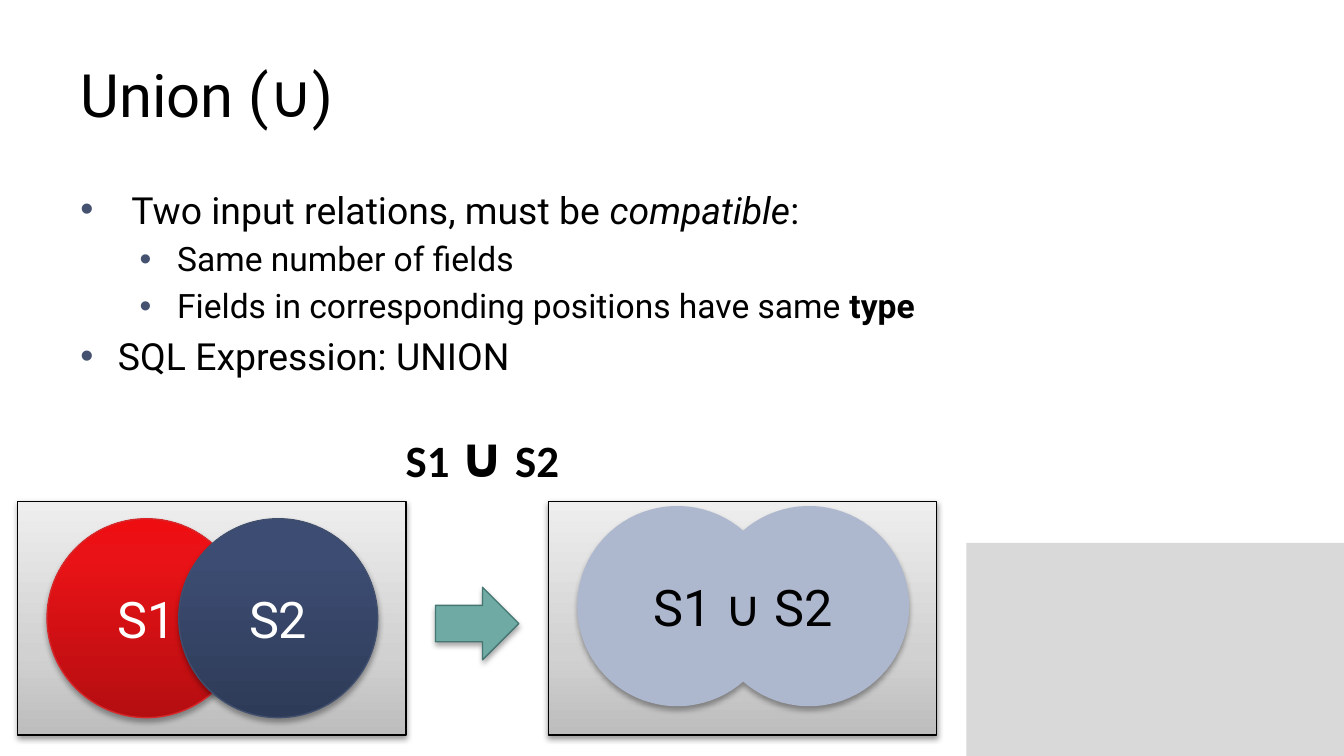
from dataclasses import dataclass
from math import acos, cos, pi, sin
from typing import Optional

from lxml.etree import SubElement
from pptx import Presentation
from pptx.dml.color import RGBColor
from pptx.enum.shapes import MSO_SHAPE
from pptx.enum.text import MSO_ANCHOR, PP_ALIGN
from pptx.oxml.ns import qn
from pptx.util import Inches, Pt

COLS, ROWS = 100, 56.25  # square grid cells, a tenth of an inch each
DARK, WHITE, MIST = "000000", "FFFFFF", "ADB7CD"
GREY = ((0, "BDBDBD"), (35, "D1D1D1"), (100, "EEEEEE"))
RED = ((0, "B40E11"), (80, "E91216"), (100, "EE0E12"))
NAVY = ((0, "2E3B58"), (80, "3C4C72"), (100, "3B4C73"))
FRAME_TOP, FRAME_W, FRAME_H = 37.3, 28.9, 17.4
DISC, SHIFT = 14.8, 9.8


@dataclass
class Run:
    text: str
    size: float
    bold: bool = False
    slant: bool = False
    font: str = "Roboto"
    color: str = DARK


@dataclass
class Bullet:
    runs: list[Run]
    level: int
    left: float
    hang: float


@dataclass
class Figure:
    kind: MSO_SHAPE
    box: tuple
    fill: object
    line: Optional[str] = None
    label: str = ""
    shade: tuple = ()


def cell(count: float) -> int:
    return Inches(count / 10)


def paint(color: str) -> RGBColor:
    return RGBColor.from_string(color)


def write(para, runs: list[Run], align=PP_ALIGN.LEFT, before: float = 0) -> None:
    para.alignment = align
    para.space_before = Pt(before)
    for item in runs:
        run = para.add_run()
        run.text = item.text
        font = run.font
        font.size, font.name = Pt(item.size), item.font
        font.bold, font.italic = item.bold, item.slant
        font.color.rgb = paint(item.color)


def add_text(slide, box: tuple, wrap: bool = True, anchor=MSO_ANCHOR.TOP):
    frame = slide.shapes.add_textbox(*map(cell, box)).text_frame
    frame.word_wrap, frame.vertical_anchor = wrap, anchor
    return frame


def add_bullet(para, left: float, hang: float) -> None:
    props = para._p.get_or_add_pPr()
    props.set("marL", str(cell(left)))
    props.set("indent", str(-cell(hang)))
    color = SubElement(props, qn("a:buClr"))
    SubElement(color, qn("a:srgbClr"), val="44516F")
    SubElement(props, qn("a:buFont"), typeface="Arial")
    SubElement(props, qn("a:buChar"), char="•")


def blend(shape, stops: tuple) -> None:
    """Fill with a gradient that runs from bottom to top."""
    shape.fill.gradient()
    grad = shape._element.spPr.find(qn("a:gradFill"))
    for child in list(grad):
        grad.remove(child)
    group = SubElement(grad, qn("a:gsLst"))
    for share, color in stops:
        stop = SubElement(group, qn("a:gs"), pos=str(share * 1000))
        SubElement(stop, qn("a:srgbClr"), val=color)
    SubElement(grad, qn("a:lin"), ang=str(270 * 60000), scaled="0")


def style(shape, fill, line: Optional[str], shade: tuple) -> None:
    """Set fill and line; shade holds the shadow's opacity and distance."""
    if isinstance(fill, str):
        shape.fill.solid()
        shape.fill.fore_color.rgb = paint(fill)
    else:
        blend(shape, fill)
    if line:
        shape.line.color.rgb = paint(line)
        shape.line.width = Pt(0.75)
    else:
        shape.line.fill.background()
    shape.shadow.inherit = False
    if shade:
        alpha, dist = shade
        effects = shape._element.spPr.find(qn("a:effectLst"))
        outer = SubElement(effects, qn("a:outerShdw"), blurRad=str(Pt(3.1)),
                           dist=str(Pt(dist)), dir=str(90 * 60000), rotWithShape="0")
        color = SubElement(outer, qn("a:srgbClr"), val=DARK)
        SubElement(color, qn("a:alpha"), val=str(alpha * 1000))


def add_label(shape, text: str, color: str) -> None:
    frame = shape.text_frame
    frame.vertical_anchor = MSO_ANCHOR.MIDDLE
    frame.margin_left = frame.margin_right = cell(0.7)
    frame.margin_top = frame.margin_bottom = cell(0.4)
    write(frame.paragraphs[0], [Run(text, 27, color=color)], PP_ALIGN.CENTER)


def add_figure(slide, item: Figure) -> None:
    shape = slide.shapes.add_shape(item.kind, *map(cell, item.box))
    style(shape, item.fill, item.line, item.shade)
    if item.label:
        add_label(shape, item.label, WHITE)


def add_union(slide, left: float, top: float, steps: int = 60) -> None:
    """Draw the outline of two overlapping discs as one shape."""
    rad = DISC / 2
    notch = acos(SHIFT / 2 / rad)
    sweep = 2 * (pi - notch)
    points = []
    for mid, start in ((left + rad, notch), (left + rad + SHIFT, notch + pi)):
        for step in range(steps + 1):
            turn = start + sweep * step / steps
            points.append((cell(mid + rad * cos(turn)),
                           cell(top + rad + rad * sin(turn))))
    path = slide.shapes.build_freeform(*points[0])
    path.add_line_segments(points[1:], close=True)
    shape = path.convert_to_shape()
    style(shape, MIST, MIST, (35, 1.8))
    add_label(shape, "S1 ∪ S2", DARK)


def main() -> None:
    deck = Presentation()
    deck.slide_width, deck.slide_height = cell(COLS), cell(ROWS)
    slide = deck.slides.add_slide(deck.slide_layouts[6])

    add_figure(slide, Figure(MSO_SHAPE.RECTANGLE,
                             (71.9, 40.4, COLS - 71.9, ROWS - 40.4), "D9D9D9"))
    title = add_text(slide, (5, 2.3, 90, 9.4), anchor=MSO_ANCHOR.MIDDLE)
    write(title.paragraphs[0], [Run("Union (∪)", 32)])

    bullets = [
        Bullet([Run("Two input relations, must be ", 20),
                Run("compatible", 20, slant=True), Run(":", 20)], 0, 3.8, 3.8),
        Bullet([Run("Same number of fields", 18)], 1, 7.2, 2.8),
        Bullet([Run("Fields in corresponding positions have same ", 18),
                Run("type", 18, bold=True)], 1, 7.2, 2.8),
        Bullet([Run("SQL Expression: UNION", 20)], 0, 2.8, 2.8),
    ]
    body = add_text(slide, (5, 13.4, 90, 36.8))
    for index, item in enumerate(bullets):
        para = body.add_paragraph() if index else body.paragraphs[0]
        para.level = item.level
        before = item.runs[0].size / 5 if index else 0
        write(para, item.runs, before=before)
        add_bullet(para, item.left, item.hang)

    soft, deep = (35, 1.8), (38, 1.6)
    disc_top = 38.6
    figures = [
        *(Figure(MSO_SHAPE.RECTANGLE, (left, FRAME_TOP, FRAME_W, FRAME_H),
                 GREY, DARK, shade=deep) for left in (1.3, 40.8)),
        Figure(MSO_SHAPE.OVAL, (3.5, disc_top, DISC, DISC), RED, "D6272A", "S1", soft),
        Figure(MSO_SHAPE.OVAL, (3.5 + SHIFT, disc_top, DISC, DISC), NAVY, "414F6E",
               "S2", soft),
        Figure(MSO_SHAPE.RIGHT_ARROW, (32.4, 43.7, 6.2, 5.4), "6FAAA5", "457672",
               shade=soft),
    ]
    for item in figures:
        add_figure(slide, item)
    add_union(slide, 43, 37.7)

    head = add_text(slide, (29.2, 30.9, 14.3, 6.1), wrap=False)
    write(head.paragraphs[0], [
        Run(text, size, bold, font="Calibri") for text, size, bold in
        (("S1 ", 24, True), ("∪", 30, True), (" ", 24, False), ("S2", 24, True))])
    deck.save("out.pptx")


if __name__ == "__main__":
    main()
